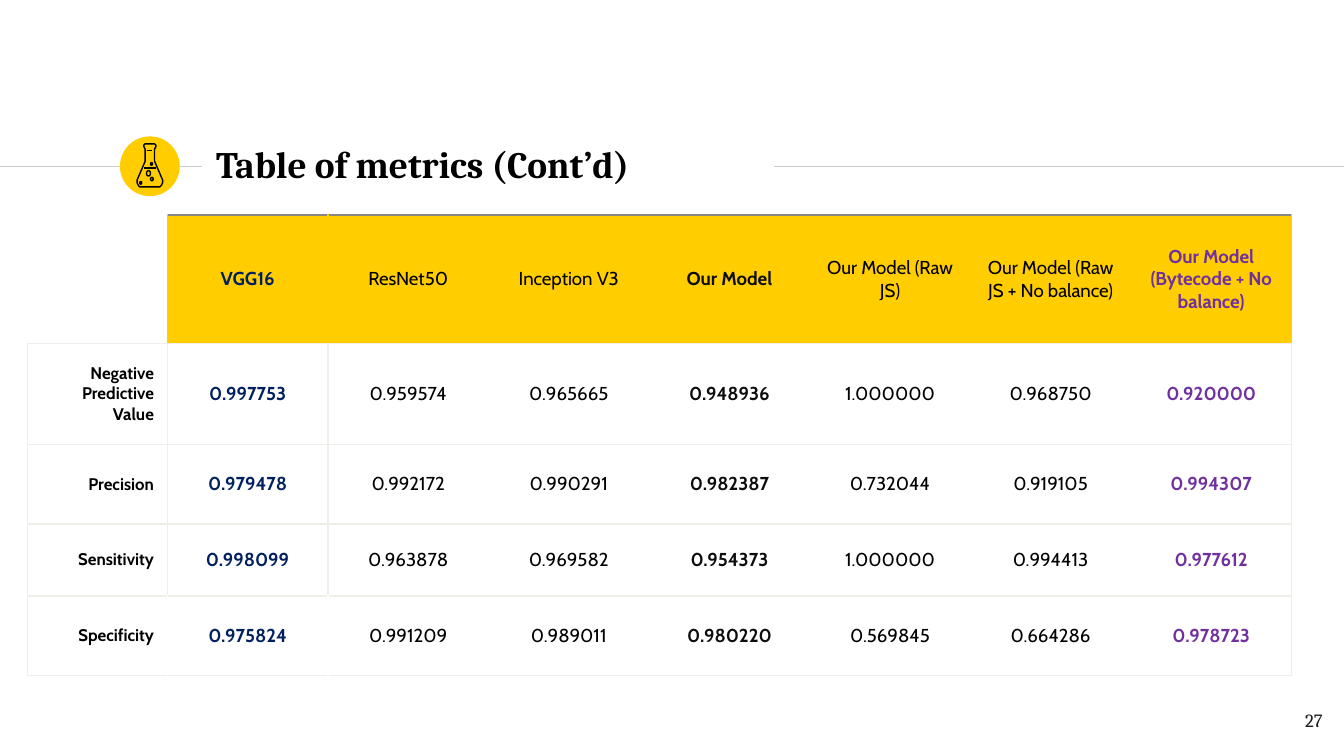
from lxml import etree
from pptx import Presentation
from pptx import util as u
from pptx.dml.color import RGBColor
from pptx.enum import shapes, text
from pptx.oxml.ns import qn

WHITE = RGBColor(0xFF, 0xFF, 0xFF)
BLACK = RGBColor(0x00, 0x00, 0x00)
INK = RGBColor(0x1D, 0x1D, 0x1B)
CHARCOAL = RGBColor(0x0D, 0x0D, 0x0D)
NAVY = RGBColor(0x00, 0x20, 0x60)
PURPLE = RGBColor(0x70, 0x30, 0xA0)
YELLOW = RGBColor(0xFF, 0xCD, 0x00)
RULE_GREY = RGBColor(0xCC, 0xCC, 0xCC)
TOP_GREY = RGBColor(0x8A, 0x86, 0x82)
PALE = RGBColor(0xF0, 0xEE, 0xE9)

SERIF, SANS = "Cambria", "Cabin"
WIDTH, HEIGHT = u.Inches(10), u.Inches(5.625)
GRID_COLUMNS = 100
HAIRLINE = u.Pt(0.75)
PLAIN_TABLE_STYLE = "{2D5ABB26-0587-4C30-8999-92F81FD0307C}"

MODELS = [
    ("VGG16", NAVY, True),
    ("ResNet50", BLACK, False),
    ("Inception V3", BLACK, False),
    ("Our Model", CHARCOAL, True),
    ("Our Model (Raw JS)", BLACK, False),
    ("Our Model (Raw JS + No balance)", BLACK, False),
    ("Our Model (Bytecode + No balance)", PURPLE, True),
]
METRICS = [
    ("Negative Predictive Value", "0.997753 0.959574 0.965665 0.948936 1.000000 0.968750 0.920000"),
    ("Precision", "0.979478 0.992172 0.990291 0.982387 0.732044 0.919105 0.994307"),
    ("Sensitivity", "0.998099 0.963878 0.969582 0.954373 1.000000 0.994413 0.977612"),
    ("Specificity", "0.975824 0.991209 0.989011 0.980220 0.569845 0.664286 0.978723"),
]
ROW_HEIGHTS = [9.55, 7.5, 5.95, 5.35, 5.95]
FLASK_OUTLINE = [
    (11.5, 12), (11.5, 11.1), (11.6, 10.9), (11.6, 10.8), (11.5, 10.7),
    (10.8, 10.7), (10.7, 10.8), (10.7, 10.9), (10.8, 11.1), (10.8, 12),
    (10.2, 13.4), (10.2, 13.6), (10.3, 13.8), (10.4, 13.9), (11.9, 13.9),
    (12, 13.8), (12.1, 13.6), (12.1, 13.4),
]
FLASK_MARKS = [[(11.6, 12.5), (10.7, 12.5)], [(11.3, 11.2), (10.95, 11.2)]]
BUBBLES = [(11.2, 13.2, 0.2, 0.25), (10.9, 12.7, 0.3, 0.4),
           (10.4, 13.5, 0.15, 0.2), (11.2, 12.1, 0.15, 0.2)]


def grid(*steps):
    return [round(step * WIDTH / GRID_COLUMNS) for step in steps]


def add_run(para, words, font, size, colour, bold=False):
    span = para.add_run()
    span.text = words
    span.font.name = font
    span.font.size = u.Pt(size)
    span.font.bold = bold
    span.font.color.rgb = colour


def add_text(slide, place, words, size, colour, bold, align, anchor):
    box = slide.shapes.add_textbox(*grid(*place))
    frame = box.text_frame
    frame.word_wrap = True
    frame.vertical_anchor = anchor
    frame.margin_left = frame.margin_right = u.Inches(0.1)
    frame.margin_top = frame.margin_bottom = u.Inches(0.1)
    frame.paragraphs[0].alignment = align
    add_run(frame.paragraphs[0], words, SERIF, size, colour, bold)


def add_rule(slide, start, end, row):
    rule = slide.shapes.add_connector(
        shapes.MSO_CONNECTOR.STRAIGHT, *grid(start, row, end, row))
    rule.line.color.rgb = RULE_GREY
    rule.line.width = HAIRLINE
    etree.SubElement(rule._element.spPr, qn("a:effectLst"))


def draw_outline(shape):
    shape.shadow.inherit = False
    shape.fill.background()
    shape.line.color.rgb = BLACK
    shape.line.width = HAIRLINE


def add_path(group, points, close):
    corners = [grid(*point) for point in points]
    builder = group.shapes.build_freeform(*corners[0])
    builder.add_line_segments(corners[1:], close=close)
    draw_outline(builder.convert_to_shape())


def add_badge(slide):
    disc = slide.shapes.add_shape(
        shapes.MSO_SHAPE.OVAL, *grid(8.93, 10.15, 4.45, 4.45))
    disc.shadow.inherit = False
    disc.fill.solid()
    disc.fill.fore_color.rgb = YELLOW
    disc.line.fill.background()
    flask = slide.shapes.add_group_shape()
    add_path(flask, FLASK_OUTLINE, True)
    for mark in FLASK_MARKS:
        add_path(flask, mark, False)
    for bubble in BUBBLES:
        draw_outline(flask.shapes.add_shape(shapes.MSO_SHAPE.OVAL, *grid(*bubble)))


def set_borders(cell, **sides):
    properties = cell._tc.get_or_add_tcPr()
    position = 0
    for side in ("L", "R", "T", "B"):
        if side in sides:
            edge = etree.Element(qn(f"a:ln{side}"), w=str(HAIRLINE))
            paint = etree.SubElement(edge, qn("a:solidFill"))
            etree.SubElement(paint, qn("a:srgbClr"), val=str(sides[side]))
            properties.insert(position, edge)
            position += 1


def fill_cell(cell, words, size, colour, bold, align):
    cell.vertical_anchor = text.MSO_ANCHOR.MIDDLE
    para = cell.text_frame.paragraphs[0]
    para.alignment = align
    add_run(para, words, SANS, size, colour, bold)


def borders_for(row, column):
    last_row, last_column = len(METRICS), len(MODELS)
    if row == 0 and column == 0:
        return {"R": YELLOW, "B": PALE}
    sides = {"T": TOP_GREY if row == 0 else PALE, "B": PALE}
    edge = YELLOW if row == 0 else PALE
    divider = WHITE if row == last_row else edge
    if column == 0:
        sides.update(L=PALE, R=divider)
    elif column == 1:
        sides["L"] = divider
    elif column == last_column:
        sides["R"] = edge
    return sides


def add_metrics_table(slide):
    widths = [10.4] + [11.95] * len(MODELS)
    frame = slide.shapes.add_table(
        len(ROW_HEIGHTS), len(widths),
        *grid(2.05, 16, sum(widths), sum(ROW_HEIGHTS)))
    table = frame.table
    table.first_row = table.horz_banding = False
    table._tbl.tblPr.find(qn("a:tableStyleId")).text = PLAIN_TABLE_STYLE
    for column, width in zip(table.columns, grid(*widths)):
        column.width = width
    for row, height in zip(table.rows, grid(*ROW_HEIGHTS)):
        row.height = height

    rows = [[name for name, _, _ in MODELS]]
    rows += [values.split() for _, values in METRICS]
    for r, entries in enumerate(rows):
        for c, (words, (_, colour, bold)) in enumerate(zip(entries, MODELS), 1):
            fill_cell(table.cell(r, c), words, 10, colour, bold, text.PP_ALIGN.CENTER)
    for r, (label, _) in enumerate(METRICS, 1):
        fill_cell(table.cell(r, 0), label, 9, BLACK, True, text.PP_ALIGN.RIGHT)

    for r in range(len(ROW_HEIGHTS)):
        for c in range(len(widths)):
            cell = table.cell(r, c)
            if r == 0 and c > 0:
                cell.margin_top = cell.margin_bottom = u.Inches(0.1)
                cell.fill.solid()
                cell.fill.fore_color.rgb = YELLOW
            else:
                cell.fill.background()
            set_borders(cell, **borders_for(r, c))


def main():
    deck = Presentation()
    deck.slide_width, deck.slide_height = WIDTH, HEIGHT
    page = deck.slides.add_slide(deck.slide_layouts[6])
    page.background.fill.solid()
    page.background.fill.fore_color.rgb = WHITE
    add_rule(page, 0, 15, 12.4)
    add_rule(page, 57.6, 100, 12.4)
    add_text(page, (15.1, 9.8, 42.4, 4.8), "Table of metrics (Cont’d)", 20, BLACK, True,
             text.PP_ALIGN.LEFT, text.MSO_ANCHOR.MIDDLE)
    add_text(page, (93.4, 51.9, 6, 4.3), "27", 10, INK, False,
             text.PP_ALIGN.RIGHT, text.MSO_ANCHOR.TOP)
    add_metrics_table(page)
    add_badge(page)
    deck.save("out.pptx")


if __name__ == "__main__":
    main()
